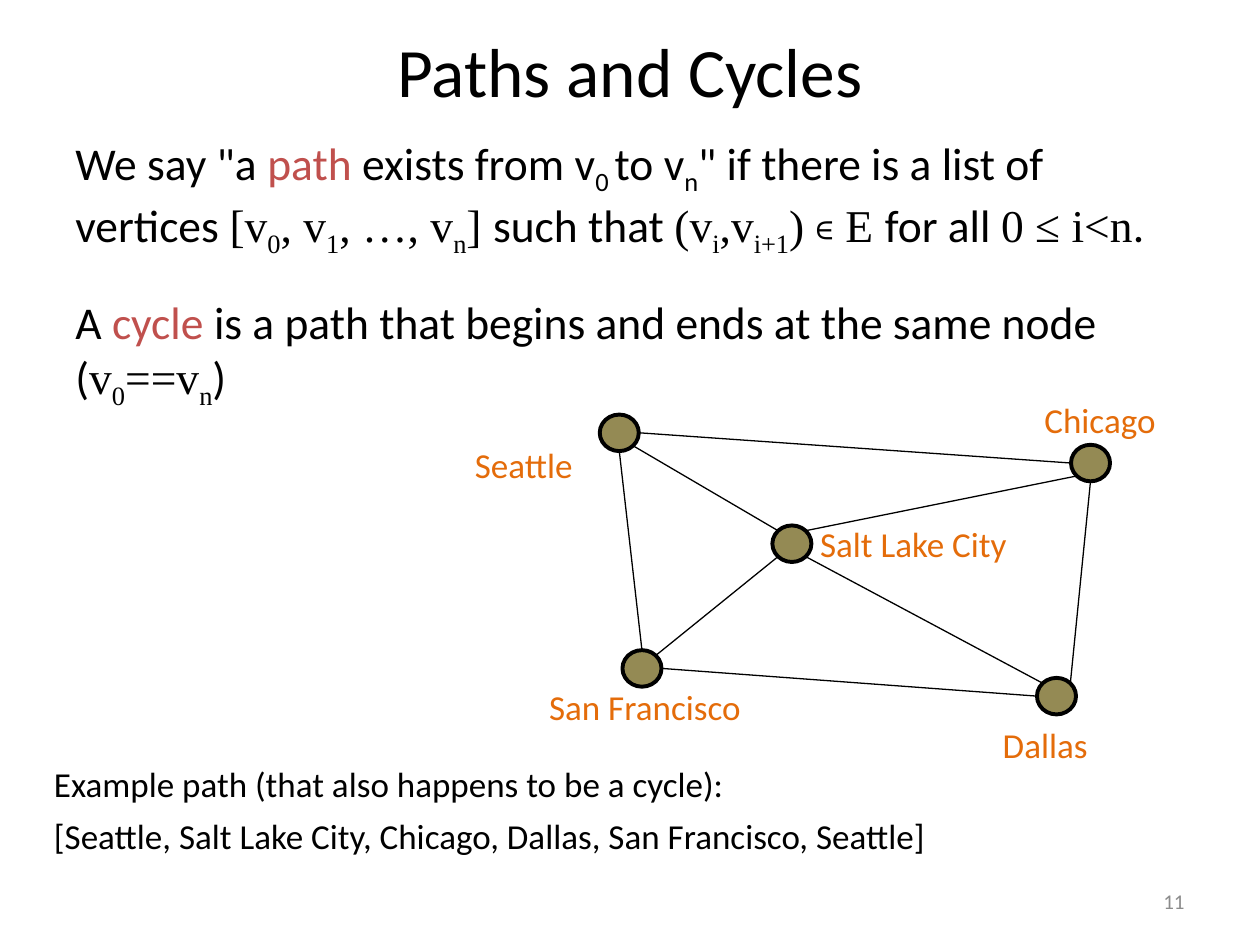
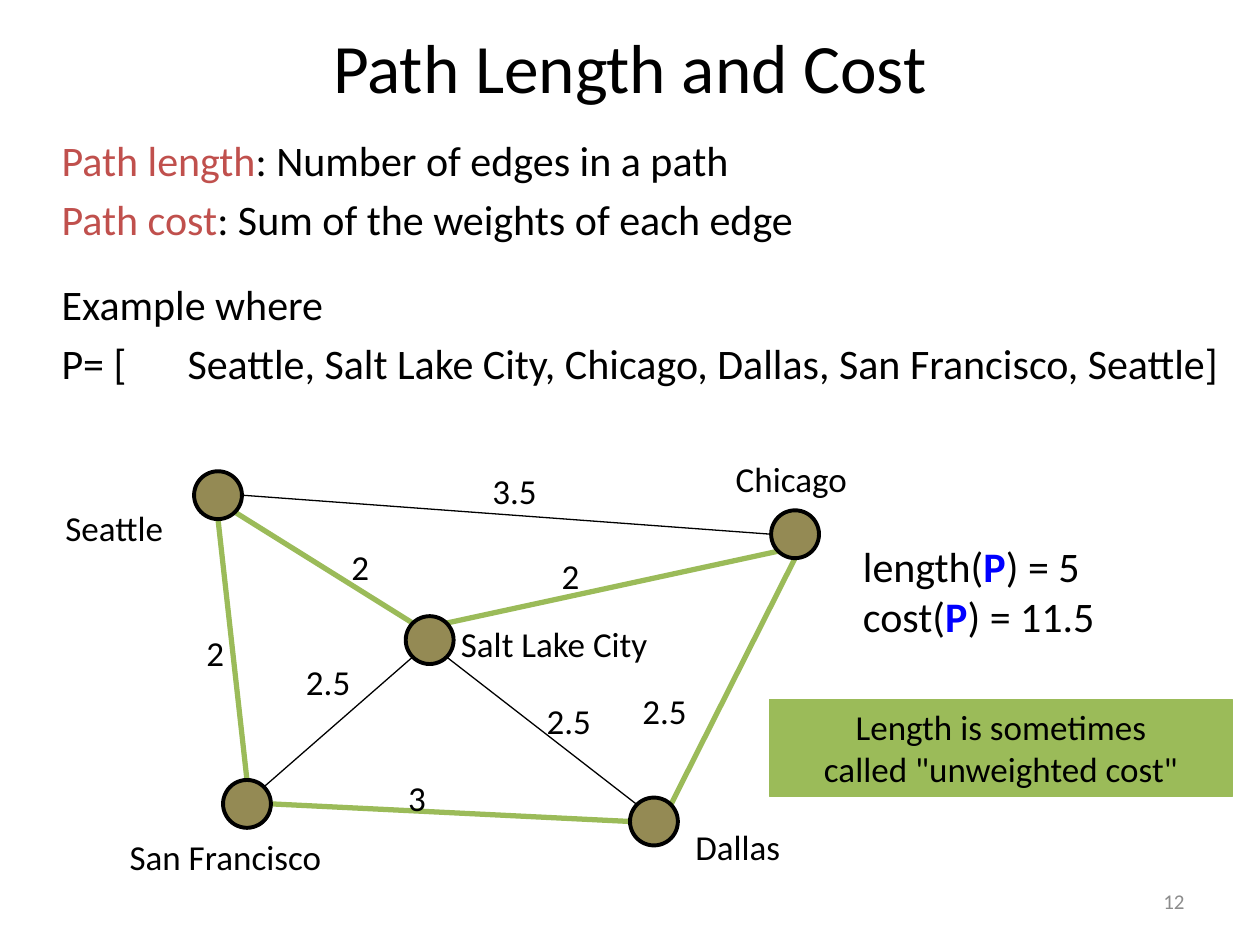
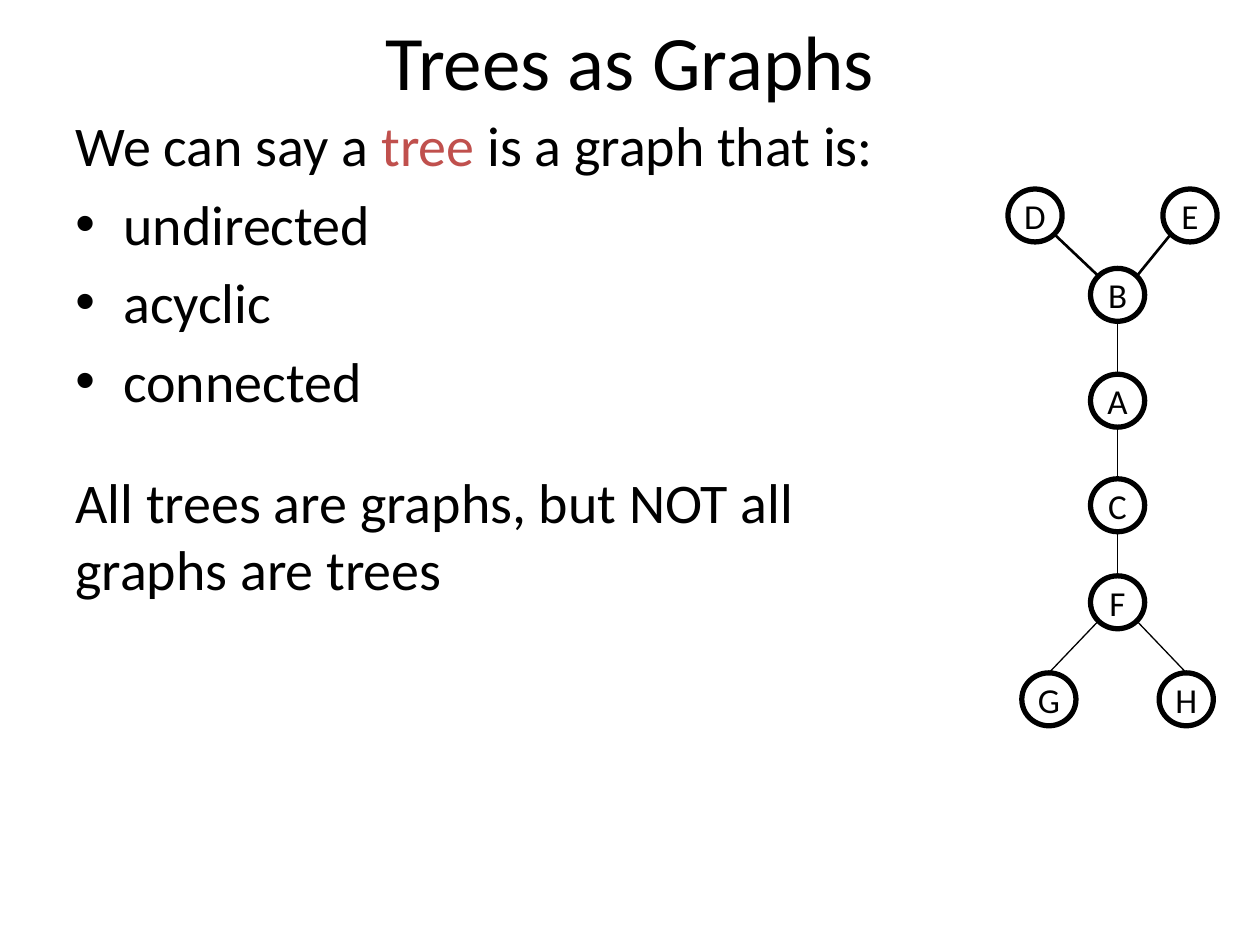
from dataclasses import dataclass

from lxml.etree import SubElement
from pptx import Presentation
from pptx.dml.color import RGBColor
from pptx.enum.shapes import MSO_CONNECTOR, MSO_SHAPE
from pptx.enum.text import MSO_ANCHOR, MSO_AUTO_SIZE, PP_ALIGN
from pptx.oxml.ns import qn
from pptx.util import Inches, Pt


@dataclass(frozen=True)
class Theme:
    font: str = "Calibri"
    math_font: str = "Times New Roman"
    ink: str = "000000"
    accent: str = "C0504D"
    city: str = "E46C0A"
    vertex: str = "948A54"
    tour: str = "9BBB59"
    variable: str = "0000FF"
    number: str = "8C8C8C"
    title_size: float = 39.6
    large_title_size: float = 44
    large_body_size: float = 32
    body_size: float = 26
    example_size: float = 24
    label_size: float = 20
    number_size: float = 12
    thin: float = 0.75
    medium: float = 1.5
    outline: float = 2.25
    thick: float = 3


theme = Theme()
deck = Presentation()
deck.slide_width = Inches(10)
deck.slide_height = Inches(7.5)
column = deck.slide_width / 100
row = deck.slide_height / 75

SITES = {
    "N": (0, -1), "S": (0, 1), "W": (-1, 0), "E": (1, 0),
    "NW": (-0.71, -0.71), "NE": (0.71, -0.71),
    "SW": (-0.71, 0.71), "SE": (0.71, 0.71),
}


def write(box, text, size=theme.label_size, color=theme.ink, align=PP_ALIGN.LEFT,
          anchor=MSO_ANCHOR.TOP, wrap=True, grow=False, share=0, gaps=None,
          bullets=(), tabs=None):
    frame = box.text_frame
    frame.word_wrap = wrap
    frame.auto_size = MSO_AUTO_SIZE.SHAPE_TO_FIT_TEXT if grow else MSO_AUTO_SIZE.NONE
    frame.vertical_anchor = anchor
    for index, spans in enumerate([text] if isinstance(text, str) else text):
        para = frame.add_paragraph() if index else frame.paragraphs[0]
        para.alignment = align
        para.space_before = Pt((gaps or {}).get(index, size * share) if index else 0)
        properties = para._p.get_or_add_pPr()
        if index in bullets:
            properties.set("marL", str(Inches(0.38)))
            properties.set("indent", str(-Inches(0.38)))
            SubElement(properties, qn("a:buFont"), typeface="Arial")
            SubElement(properties, qn("a:buChar"), char="•")
        if tabs and index in tabs:
            stops = SubElement(properties, qn("a:tabLst"))
            SubElement(stops, qn("a:tab"), pos=str(Inches(tabs[index])), algn="l")
        for part in [spans] if isinstance(spans, str) else spans:
            words, style = (part, "") if isinstance(part, str) else part
            styles = style.split()
            span = para.add_run()
            span.text = words
            font = span.font
            font.size = Pt(size)
            font.name = theme.math_font if "math" in styles else theme.font
            shade = color
            if "accent" in styles:
                shade = theme.accent
            if "variable" in styles:
                shade = theme.variable
                font.bold = True
            font.color.rgb = RGBColor.from_string(shade)
            if "sub" in styles:
                span._r.get_or_add_rPr().set("baseline", "-25000")


def draw_graph(page, vertices, edges, width, height, heavy, fill=None,
               outline=theme.outline, lettered=False):
    for start, start_site, end, end_site, is_heavy in edges:
        ends = []
        for name, site in ((start, start_site), (end, end_site)):
            x, y = vertices[name]
            across, down = SITES[site]
            ends += [int((x + across * width / 2) * column),
                     int((y + down * height / 2) * row)]
        edge = page.shapes.add_connector(MSO_CONNECTOR.STRAIGHT, *ends)
        shade, weight = heavy if is_heavy else (theme.ink, theme.thin)
        edge.line.color.rgb = RGBColor.from_string(shade)
        edge.line.width = Pt(weight)
        SubElement(edge._element.spPr, qn("a:effectLst"))
    for name, (x, y) in vertices.items():
        vertex = page.shapes.add_shape(
            MSO_SHAPE.OVAL, int((x - width / 2) * column), int((y - height / 2) * row),
            int(width * column), int(height * row))
        vertex.shadow.inherit = False
        if fill:
            vertex.fill.solid()
            vertex.fill.fore_color.rgb = RGBColor.from_string(fill)
        else:
            vertex.fill.background()
        vertex.line.color.rgb = RGBColor.from_string(theme.ink)
        vertex.line.width = Pt(outline)
        if lettered:
            write(vertex, name, align=PP_ALIGN.CENTER, anchor=MSO_ANCHOR.MIDDLE, wrap=False)


pages = []
for title, top, height, size, number in (
    ("Paths and Cycles", 1.6, 7.9, theme.title_size, "11"),
    ("Path Length and Cost", 1.6, 7.2, theme.title_size, "12"),
    ("Trees as Graphs", 0, 9.5, theme.large_title_size, None),
):
    page = deck.slides.add_slide(deck.slide_layouts[6])
    pages.append(page)
    box = page.shapes.add_textbox(int(5 * column), int(top * row), int(90 * column), int(height * row))
    write(box, title, size=size, align=PP_ALIGN.CENTER, anchor=MSO_ANCHOR.MIDDLE)
    if number:
        box = page.shapes.add_textbox(int(71.7 * column), int(69.5 * row), int(23.3 * column), int(4 * row))
        write(box, number, size=theme.number_size, color=theme.number,
              align=PP_ALIGN.RIGHT, anchor=MSO_ANCHOR.MIDDLE)

paths_page, cost_page, trees_page = pages

definitions = [
    ['We say "a ', ("path ", "accent"), "exists from v", ("0 ", "sub"), "to v", ("n", "sub"),
     '" if there is a list of vertices ', ("[v", "math"), ("0", "math sub"), (", v", "math"),
     ("1", "math sub"), (", …, v", "math"), ("n", "math sub"), ("] ", "math"), "such that ",
     ("(v", "math"), ("i", "math sub"), (",v", "math"), ("i+1", "math sub"),
     (") ∊ E ", "math"), "for all ", ("0 ≤ i<n", "math"), "."],
    ["A ", ("cycle", "accent"), " is a path that begins and ends at the same node (",
     ("v", "math"), ("0", "math sub"), ("==v", "math"), ("n", "math sub"), ")"],
]
box = paths_page.shapes.add_textbox(int(5 * column), int(10.2 * row), int(90 * column), int(56.8 * row))
write(box, definitions, size=theme.body_size, gaps={1: 20})

box = paths_page.shapes.add_textbox(int(3.3 * column), int(60 * row), int(94.2 * column), int(9.2 * row))
write(box, ["Example path (that also happens to be a cycle):",
            "[Seattle, Salt Lake City, Chicago, Dallas, San Francisco, Seattle]"], share=0.3)

measures = [
    [("Path length", "accent"), ": Number of edges in a path"],
    [("Path cost", "accent"), ": Sum of the weights of each edge"],
    "Example where",
    "P= [\tSeattle, Salt Lake City, Chicago, Dallas, San Francisco, Seattle]",
]
box = cost_page.shapes.add_textbox(int(3.9 * column), int(10.2 * row), int(96.1 * column), int(59.4 * row))
write(box, measures, size=theme.example_size, share=0.2, gaps={2: 20}, tabs={3: 1})

flights = [
    ("San Francisco", "N", "Seattle", "S", True),
    ("Chicago", "S", "Dallas", "NE", True),
    ("Chicago", "W", "Seattle", "E", False),
    ("Seattle", "SE", "Salt Lake City", "NW", True),
    ("San Francisco", "NE", "Salt Lake City", "SW", False),
    ("Salt Lake City", "SE", "Dallas", "NW", False),
    ("Salt Lake City", "NE", "Chicago", "SW", True),
    ("Dallas", "W", "San Francisco", "E", True),
]
path_cities = {
    "San Francisco": (50.95, 53.05), "Seattle": (49.15, 34.35),
    "Salt Lake City": (62.85, 43.15), "Dallas": (83.85, 55.25), "Chicago": (86.55, 36.75),
}
cost_cities = {
    "San Francisco": (19.6, 63.8), "Seattle": (17.3, 39.3),
    "Salt Lake City": (34.1, 50.8), "Dallas": (51.9, 65.2), "Chicago": (63.1, 42.4),
}
draw_graph(paths_page, path_cities, flights, 3.1, 2.9, (theme.ink, theme.thin), theme.vertex)
draw_graph(cost_page, cost_cities, flights, 3.8, 3.8, (theme.tour, theme.thick), theme.vertex)

path_labels = [
    ("Seattle", 36.7, 34.7, 11.9), ("San Francisco", 42.6, 53.9, 21.4),
    ("Dallas", 78.6, 56.9, 10.5), ("Chicago", 81.9, 31.1, 13.1),
    ("Salt Lake City", 64.1, 41, 21.5),
]
cost_labels = [
    ("Seattle", 4.2, 39.7, 10.1), ("San Francisco", 9.3, 65.8, 18.9),
    ("Dallas", 54.2, 65, 9.5), ("Chicago", 57.4, 35.8, 11.8),
    ("Salt Lake City", 35.6, 48.9, 19.3),
    ("3.5", 38.1, 36.8, 5.5), ("2", 26.9, 42.8, 3.5), ("2", 43.6, 43.5, 3.4),
    ("2.5", 50, 54.2, 5.5), ("3", 31.4, 61.1, 3.4), ("2", 15.4, 49.6, 3.4),
    ("2.5", 23.3, 51.9, 5.5), ("2.5", 42.4, 55, 5.5),
]
for page, labels, color in ((paths_page, path_labels, theme.city), (cost_page, cost_labels, theme.ink)):
    for label, left, top, width in labels:
        box = page.shapes.add_textbox(int(left * column), int(top * row), int(width * column), int(4.4 * row))
        write(box, label, color=color, wrap=False, grow=True)

box = cost_page.shapes.add_textbox(int(67.5 * column), int(42.4 * row), int(27.2 * column), int(9.1 * row))
write(box, [["length(", ("P", "variable"), ") = 5"], ["cost(", ("P", "variable"), ") = 11.5"]],
      size=theme.example_size, wrap=False, grow=True)

note = cost_page.shapes.add_shape(
    MSO_SHAPE.RECTANGLE, int(61.1 * column), int(55.5 * row), int(36.7 * column), int(7.7 * row))
note.shadow.inherit = False
note.fill.solid()
note.fill.fore_color.rgb = RGBColor.from_string(theme.tour)
note.line.color.rgb = RGBColor.from_string(theme.tour)
note.line.width = Pt(theme.thin)
write(note, ["Length is sometimes", 'called "unweighted cost"'], align=PP_ALIGN.CENTER)

box = trees_page.shapes.add_textbox(int(5 * column), int(8.3 * row), int(71.7 * column), int(60 * row))
write(box, [["We can say a ", ("tree", "accent"), " is a graph that is:"],
            "undirected", "acyclic", "connected",
            "All trees are graphs, but NOT all graphs are trees"],
      size=theme.large_body_size, share=0.2, gaps={4: 31}, bullets=(1, 2, 3))

tree_vertices = {
    "D": (82.15, 17.1), "E": (94.45, 17.1), "B": (88.7, 23.4), "A": (88.7, 31.8),
    "C": (88.7, 40.1), "F": (88.7, 47.8), "G": (83.25, 55.5), "H": (94.15, 55.5),
}
branches = [
    ("B", "NW", "D", "SE", True), ("B", "NE", "E", "SW", True),
    ("A", "N", "B", "S", False), ("A", "S", "C", "N", False), ("C", "S", "F", "N", False),
    ("F", "SW", "G", "N", False), ("F", "SE", "H", "N", False),
]
draw_graph(trees_page, tree_vertices, branches, 4.3, 4.2, (theme.ink, theme.medium),
           outline=theme.thick, lettered=True)

deck.save("out.pptx")
